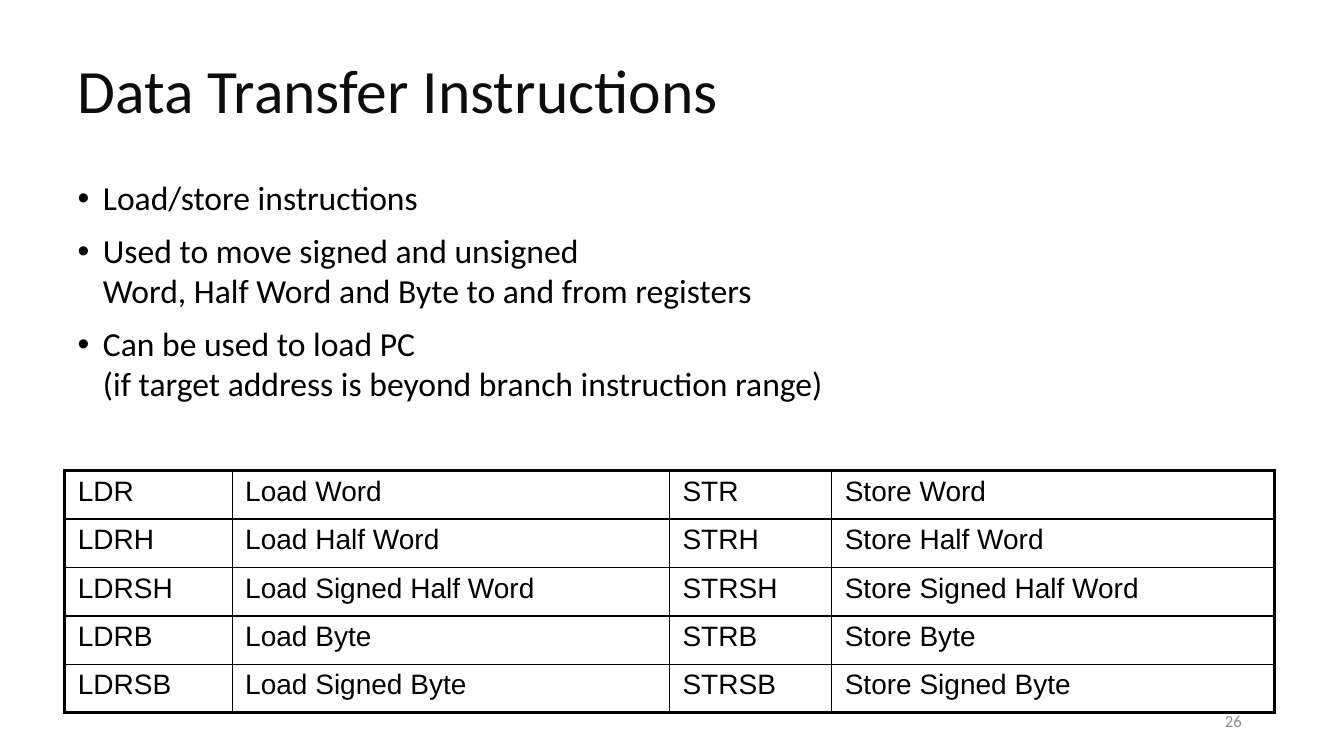
import lxml.etree
import pptx
import pptx.dml.color
import pptx.enum.text
import pptx.oxml.ns
import pptx.util
from pptx.util import Cm

BLACK = "000000"
THIN, THICK = 1, 2.25


def add_text(paragraph, text, size, font_name, color):
    run = paragraph.add_run()
    run.text = text
    run.font.size = pptx.util.Pt(size)
    run.font.name = font_name
    run.font.color.rgb = pptx.dml.color.RGBColor.from_string(color)


def add_element(parent, tag, **attributes):
    """Append a DrawingML element such as "a:ln" with its attributes."""
    return lxml.etree.SubElement(parent, pptx.oxml.ns.qn(tag), attributes)


presentation = pptx.Presentation()
presentation.slide_width = Cm(33.87)
presentation.slide_height = Cm(19.05)
slide = presentation.slides.add_slide(presentation.slide_layouts[1])

# Title
title = slide.shapes.title
title.left, title.top, title.width, title.height = Cm(1.7), Cm(0.76), Cm(30.48), Cm(3.18)
title.text_frame.auto_size = pptx.enum.text.MSO_AUTO_SIZE.NONE
title.text_frame.vertical_anchor = pptx.enum.text.MSO_ANCHOR.MIDDLE
paragraph = title.text_frame.paragraphs[0]
paragraph.alignment = pptx.enum.text.PP_ALIGN.LEFT
paragraph.line_spacing = 0.9
add_text(paragraph, "Data Transfer Instructions", 44, "Calibri", "0D0D0D")

# Bullet list: a bulleted line, or a line that continues the one above
body = slide.placeholders[1]
body.left, body.top, body.width, body.height = Cm(1.7), Cm(4.45), Cm(30.81), Cm(6.81)
body.text_frame.auto_size = pptx.enum.text.MSO_AUTO_SIZE.NONE
body_lines = [
    (True, "Load/store instructions"),
    (True, "Used to move signed and unsigned"),
    (False, "Word, Half Word and Byte to and from registers"),
    (True, "Can be used to load PC"),
    (False, "(if target address is beyond branch instruction range)"),
]
for index, (bulleted, text) in enumerate(body_lines):
    paragraph = body.text_frame.paragraphs[0] if index == 0 else body.text_frame.add_paragraph()
    properties = paragraph._p.get_or_add_pPr()
    properties.set("marL", str(Cm(0.64)))
    properties.set("indent", str(Cm(-0.64) if bulleted else 0))
    if bulleted:
        add_element(properties, "a:buFont", typeface="Arial")
        add_element(properties, "a:buChar", char="•")
    else:
        add_element(properties, "a:buNone")
    paragraph.line_spacing = 0.9
    if index == 0:
        paragraph.space_before = pptx.util.Pt(0)
    else:
        paragraph.space_before = pptx.util.Pt(12 if bulleted else 2.4)
    add_text(paragraph, text, 24, "Calibri", BLACK)

# Instruction table
instructions = [
    ("LDR", "Load Word", "STR", "Store Word"),
    ("LDRH", "Load Half Word", "STRH", "Store Half Word"),
    ("LDRSH", "Load Signed Half Word", "STRSH", "Store Signed Half Word"),
    ("LDRB", "Load Byte", "STRB", "Store Byte"),
    ("LDRSB", "Load Signed Byte", "STRSB", "Store Signed Byte"),
]
column_widths = [4.22, 11.02, 4.09, 11.15]
row_height = 1.22
last_row, last_column = len(instructions) - 1, len(column_widths) - 1
table = slide.shapes.add_table(
    len(instructions), len(column_widths), Cm(1.63), Cm(11.86),
    Cm(sum(column_widths)), Cm(row_height * len(instructions)),
).table
table.first_row = False
table.horz_banding = False
for column, width in zip(table.columns, column_widths):
    column.width = Cm(width)

for row_index, names in enumerate(instructions):
    table.rows[row_index].height = Cm(row_height)
    for column_index, name in enumerate(names):
        cell = table.cell(row_index, column_index)
        cell.margin_left = cell.margin_right = Cm(0.33)
        cell.margin_top = cell.margin_bottom = Cm(0.13)
        add_text(cell.text_frame.paragraphs[0], name, 20, "Arial", BLACK)
        outer_edges = {
            "a:lnL": column_index == 0,
            "a:lnR": column_index == last_column,
            "a:lnT": row_index == 0,
            "a:lnB": row_index == last_row,
        }
        for tag, is_outer in outer_edges.items():
            line_width = pptx.util.Pt(THICK if is_outer else THIN)
            border = add_element(cell._tc.get_or_add_tcPr(), tag, w=str(line_width))
            add_element(add_element(border, "a:solidFill"), "a:srgbClr", val=BLACK)
        cell.fill.background()

# Slide number
number_box = slide.shapes.add_textbox(Cm(23.93), Cm(17.65), Cm(7.62), Cm(1.02))
number_box.text_frame.word_wrap = True
number_box.text_frame.vertical_anchor = pptx.enum.text.MSO_ANCHOR.MIDDLE
paragraph = number_box.text_frame.paragraphs[0]
paragraph.alignment = pptx.enum.text.PP_ALIGN.RIGHT
add_text(paragraph, "26", 12, "Calibri", "8C8C8C")

presentation.save("out.pptx")
